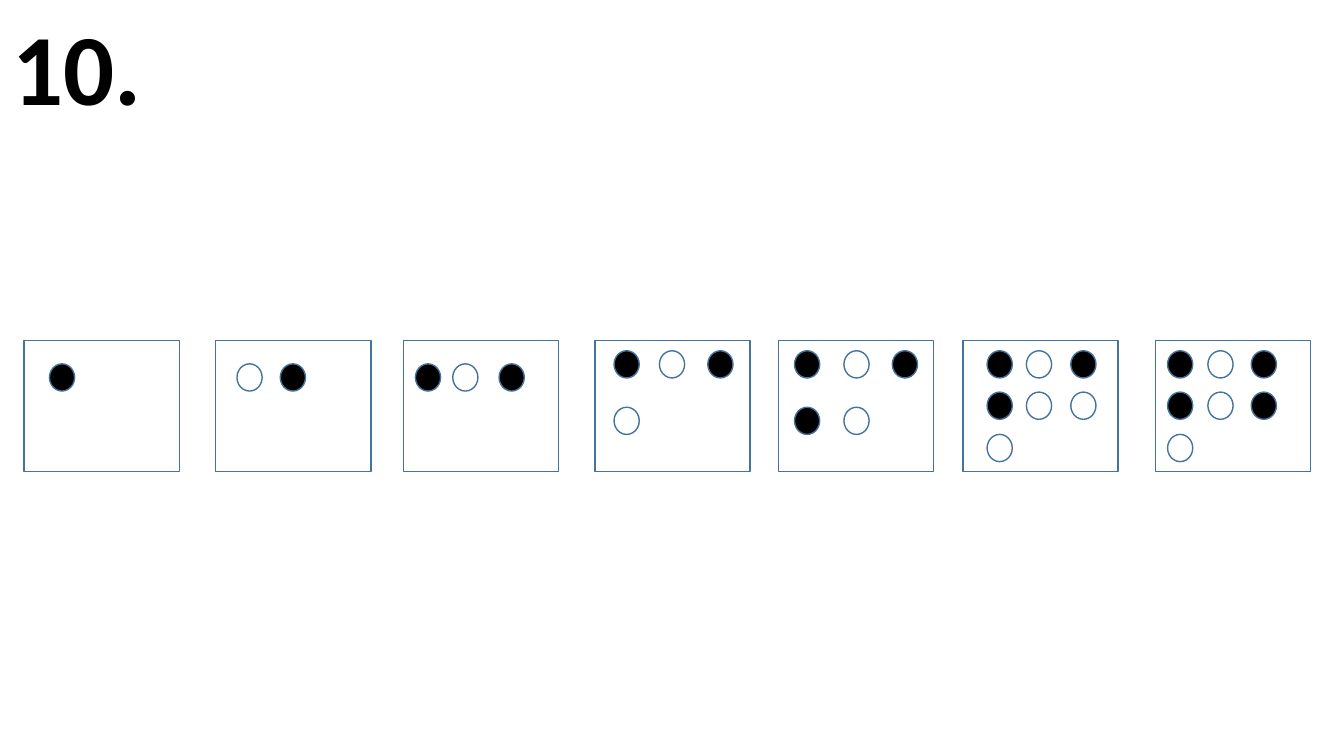
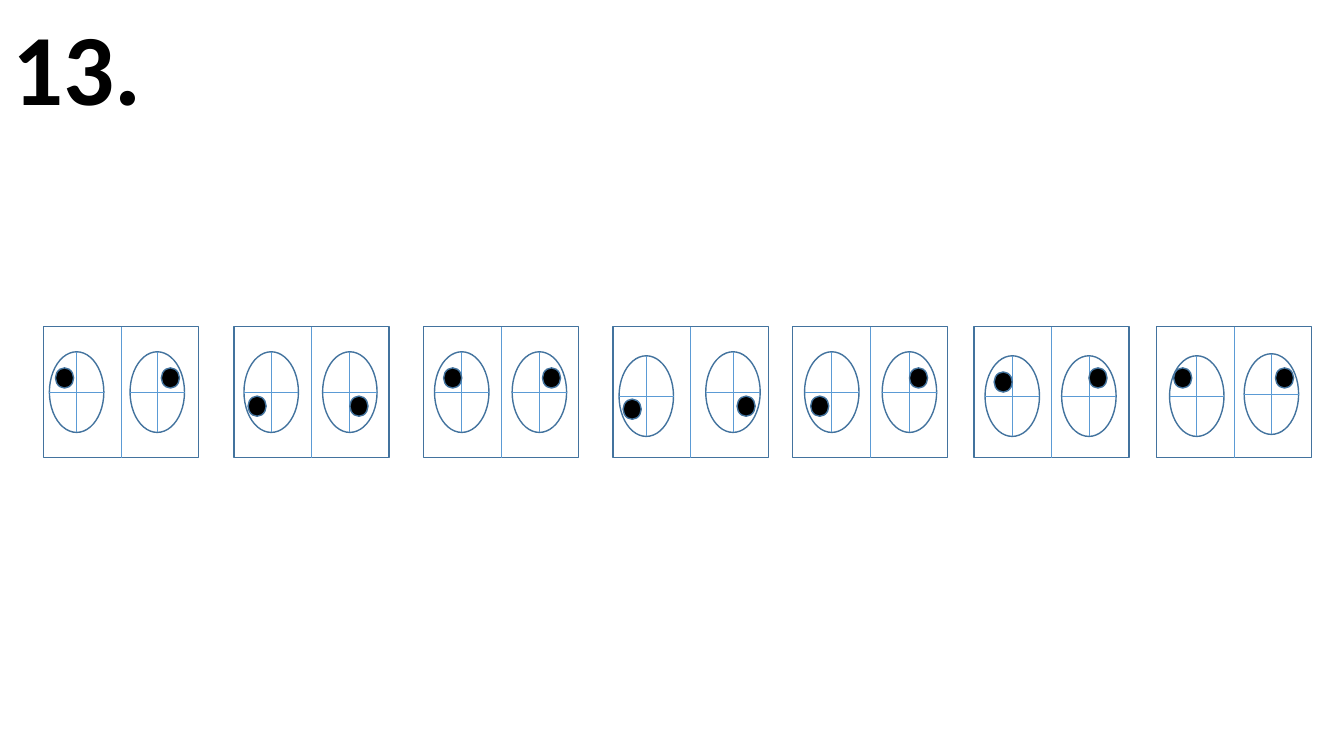
"""Builds two puzzle slides: a dot sequence and a row of paired eyes."""
from dataclasses import dataclass

from lxml.etree import SubElement
from pptx import Presentation
from pptx.dml.color import RGBColor
from pptx.enum.shapes import MSO_CONNECTOR, MSO_SHAPE
from pptx.enum.text import MSO_AUTO_SIZE, PP_ALIGN
from pptx.oxml.ns import qn
from pptx.util import Emu, Pt


@dataclass(frozen=True)
class Theme:
    black: RGBColor = RGBColor(0x00, 0x00, 0x00)
    white: RGBColor = RGBColor(0xFF, 0xFF, 0xFF)
    outline: RGBColor = RGBColor(0x43, 0x73, 0x9E)
    guide: RGBColor = RGBColor(0x5B, 0x9B, 0xD5)
    font: str = "Calibri"
    number_size: int = 72
    outline_width: float = 1
    guide_width: float = 0.5


THEME = Theme()
EMU_PER_PX = 9144
SLIDE_SIZE = (1333, 750)
NUMBER_BOX = (2, 0, 148, 131)
CARD_SIZE = (154, 130)
DOT_SIZE = (25, 27)
EYE_SIZE = (54, 80)
PUPIL_SIZE = (18, 20)

DOT_NUMBER = "10."
DOT_CARDS_TOP = 338
DOT_CARDS = [
    {"left": 24, "columns": [49], "rows": {361: "●"}},
    {"left": 214, "columns": [235, 278], "rows": {361: "○●"}},
    {"left": 400, "columns": [412, 449, 495], "rows": {361: "●○●"}},
    {"left": 590, "columns": [609, 654, 702], "rows": {348: "●○●", 404: "○"}},
    {"left": 772, "columns": [788, 837, 885], "rows": {348: "●○●", 404: "●○"}},
    {"left": 955, "columns": [979, 1018, 1062], "rows": {348: "●○●", 389: "●○○", 431: "○"}},
    {"left": 1146, "columns": [1158, 1198, 1241], "rows": {348: "●○●", 389: "●○●", 431: "○"}},
]

EYE_NUMBER = "13."
EYE_CARDS_TOP = 324
EYE_CARDS = [
    {"left": 43, "eyes": [(49, 349), (129, 349)], "pupils": [(55, 365), (160, 365)]},
    {"left": 232, "eyes": [(242, 349), (320, 349)], "pupils": [(246, 393), (347, 393)]},
    {"left": 420, "eyes": [(431, 349), (508, 349)], "pupils": [(440, 365), (538, 365)]},
    {"left": 608, "eyes": [(614, 353), (700, 349)], "pupils": [(618, 396), (731, 393)]},
    {"left": 786, "eyes": [(798, 349), (875, 349)], "pupils": [(804, 393), (902, 365)]},
    {"left": 966, "eyes": [(977, 353), (1053, 353)], "pupils": [(986, 369), (1080, 365)]},
    {"left": 1147, "eyes": [(1160, 353), (1234, 351)], "pupils": [(1164, 365), (1265, 365)]},
]


def px(*lengths):
    return [Emu(length * EMU_PER_PX) for length in lengths]


def add_outlined(page, kind, position, size, fill):
    shape = page.shapes.add_shape(kind, *px(*position, *size))
    shape.shadow.inherit = False
    shape.fill.solid()
    shape.fill.fore_color.rgb = fill
    shape.line.color.rgb = THEME.outline
    shape.line.width = Pt(THEME.outline_width)
    return shape


def add_card(page, left, top):
    return add_outlined(page, MSO_SHAPE.RECTANGLE, (left, top), CARD_SIZE, THEME.white)


def add_oval(page, position, size, fill):
    return add_outlined(page, MSO_SHAPE.OVAL, position, size, fill)


def add_guide(page, start, end):
    guide = page.shapes.add_connector(MSO_CONNECTOR.STRAIGHT, *px(*start, *end))
    guide.line.color.rgb = THEME.guide
    guide.line.width = Pt(THEME.guide_width)
    SubElement(guide._element.spPr, qn("a:effectLst"))
    return guide


def add_number(page, text):
    box = page.shapes.add_textbox(*px(*NUMBER_BOX))
    frame = box.text_frame
    frame.word_wrap = False
    frame.auto_size = MSO_AUTO_SIZE.SHAPE_TO_FIT_TEXT
    para = frame.paragraphs[0]
    para.alignment = PP_ALIGN.CENTER
    span = para.add_run()
    span.text = text
    formats = {"name": THEME.font, "size": Pt(THEME.number_size), "bold": True}
    for name, value in formats.items():
        setattr(span.font, name, value)
    span.font.color.rgb = THEME.black


def add_eye(page, left, top):
    width, height = EYE_SIZE
    middle_x, middle_y = left + width // 2, top + height // 2
    add_oval(page, (left, top), EYE_SIZE, THEME.white)
    add_guide(page, (middle_x, top), (middle_x, top + height))
    add_guide(page, (left, middle_y), (left + width, middle_y))


def build_dot_page(page):
    fills = {"●": THEME.black, "○": THEME.white}
    add_number(page, DOT_NUMBER)
    for card in DOT_CARDS:
        add_card(page, card["left"], DOT_CARDS_TOP)
        for top, dots in card["rows"].items():
            for left, dot in zip(card["columns"], dots):
                add_oval(page, (left, top), DOT_SIZE, fills[dot])


def build_eye_page(page):
    add_number(page, EYE_NUMBER)
    for card in EYE_CARDS:
        frame = add_card(page, card["left"], EYE_CARDS_TOP)
        middle = card["left"] + CARD_SIZE[0] // 2
        divider = add_guide(page, (middle, EYE_CARDS_TOP), (middle, EYE_CARDS_TOP + CARD_SIZE[1]))
        divider.begin_connect(frame, 0)
        divider.end_connect(frame, 2)
        for eye, pupil in zip(card["eyes"], card["pupils"]):
            add_eye(page, *eye)
            add_oval(page, pupil, PUPIL_SIZE, THEME.black)


def main():
    deck = Presentation()
    deck.slide_width, deck.slide_height = px(*SLIDE_SIZE)
    for build in (build_dot_page, build_eye_page):
        build(deck.slides.add_slide(deck.slide_layouts[6]))
    deck.save("out.pptx")


if __name__ == "__main__":
    main()
